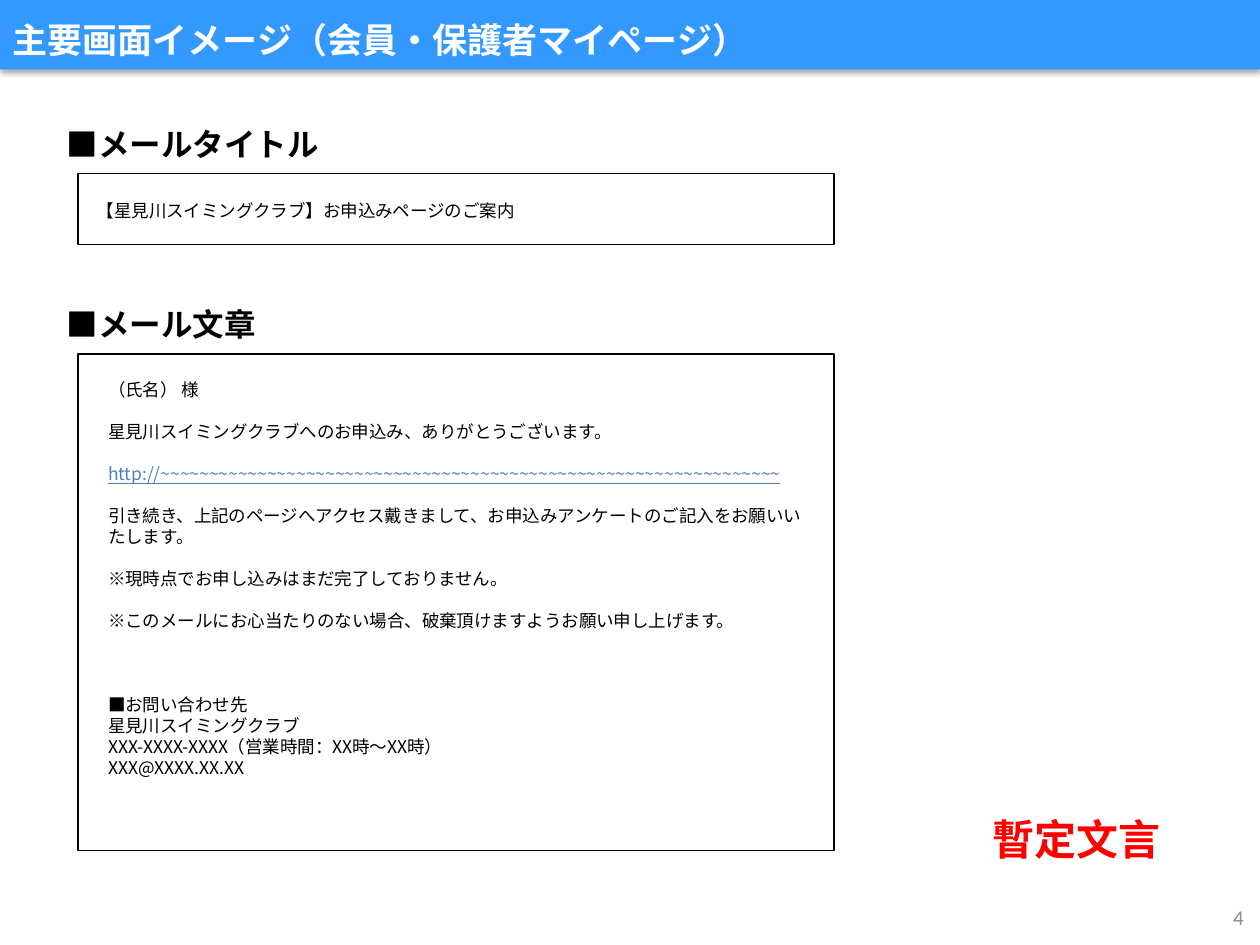
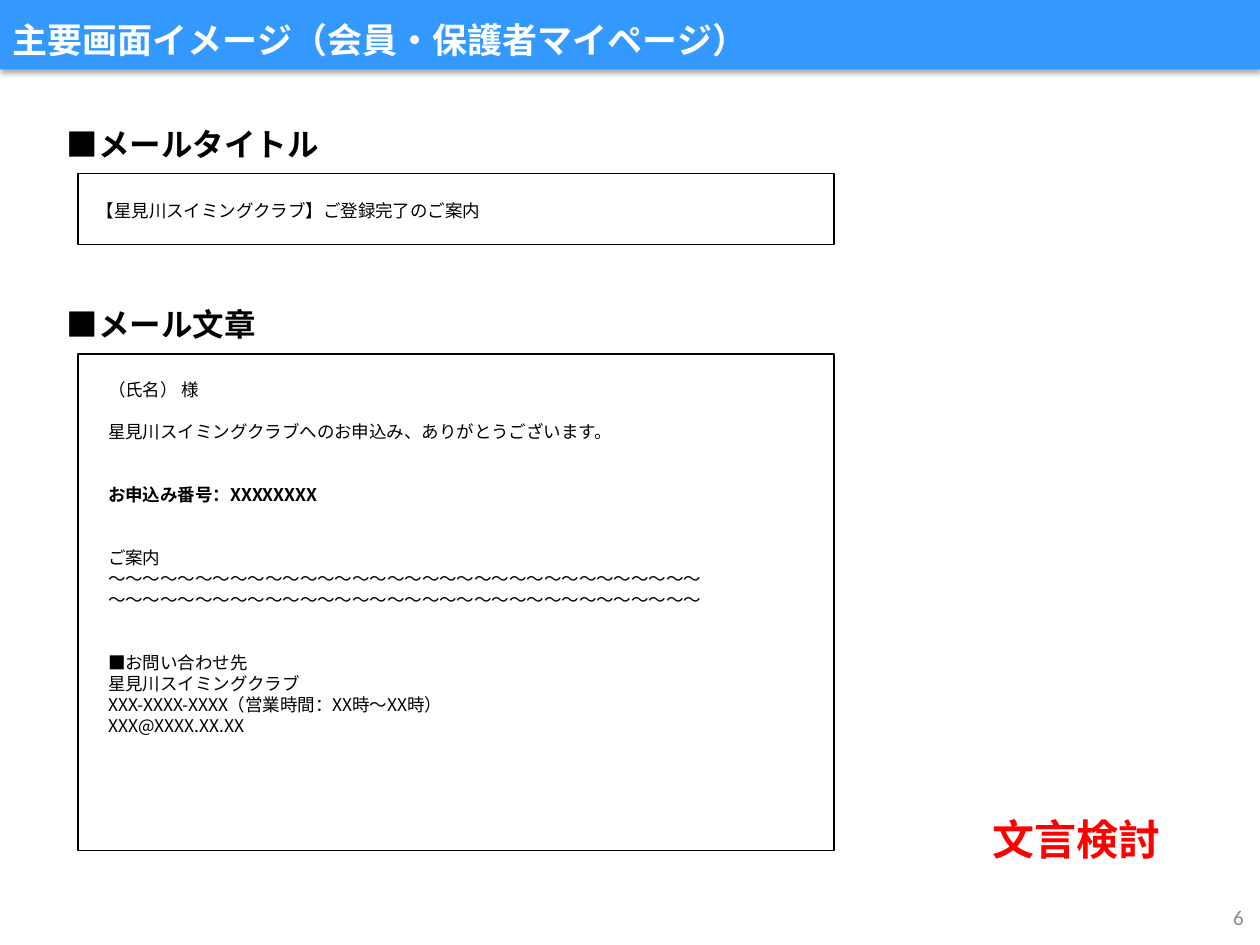
from lxml import etree
from pptx import Presentation
from pptx.dml.color import RGBColor
from pptx.enum.shapes import MSO_SHAPE as SHAPE
from pptx.enum.text import MSO_ANCHOR as ANCHOR, PP_ALIGN as ALIGN
from pptx.oxml.ns import qn
from pptx.util import Inches, Pt

# ---- Content ----
CLUB = "星見川スイミングクラブ"
PAGE_TITLE = "主要画面イメージ（会員・保護者マイページ）"
SUBJECT_HEAD, BODY_HEAD = "■メールタイトル", "■メール文章"

# Mail body lines: (lines skipped above, text, style)
GREETING = [
    (0, "（氏名） 様", {}),
    (1, CLUB + "へのお申込み、ありがとうございます。", {}),
]
CONTACT = [
    "■お問い合わせ先",
    CLUB,
    "XXX-XXXX-XXXX（営業時間：XX時～XX時）",
    "XXX@XXXX.XX.XX",
]
LINK = "http://~~~~~~~~~~~~~~~~~~~~~~~~~~~~~~~~~~~~~~~~~~~~~~~~~~~~~~~~~~~~~~~~"
WAVES = "～" * 34

MAILS = [
    {
        "page": "4",
        "subject": f"【{CLUB}】お申込みページのご案内",
        "message": [
            (1, LINK, {"color": "4F81BD", "underline": True}),
            (1, "引き続き、上記のページへアクセス戴きまして、"
                "お申込みアンケートのご記入をお願いいたします。", {}),
            (1, "※現時点でお申し込みはまだ完了しておりません。", {}),
            (1, "※このメールにお心当たりのない場合、"
                "破棄頂けますようお願い申し上げます。", {}),
        ],
        "contact_gap": 3,
        "status": "暫定文言",
    },
    {
        "page": "6",
        "subject": f"【{CLUB}】ご登録完了のご案内",
        "message": [
            (2, "お申込み番号：XXXXXXXX", {"bold": True}),
            (2, "ご案内", {}),
            (0, WAVES, {}),
            (0, WAVES, {}),
        ],
        "contact_gap": 2,
        "status": "文言検討",
    },
]

# ---- Shared style ----
WIDTH, HEIGHT = 10, 7.5
JP, LATIN = "Noto Sans CJK JP", "Calibri"
BLUE, WHITE, BLACK, RED, GREY = "3399FF", "FFFFFF", "000000", "FF0000", "8C8C8C"
LEADING = 1.2
HEAD_LEFT, FRAME_LEFT, FRAME_WIDTH = 0.43, 0.62, 6
TEXT_WIDTH = 5.72
SUBJECT_TOP, BODY_TOP = 0.94, 2.37
HEAD_STEP = 0.44  # from a heading's top to its frame's top


def rgb(value):
    return RGBColor.from_string(value)


def add_line(tf, text, size, color=BLACK, bold=False, underline=False,
             font=JP, align=ALIGN.LEFT, skip=0, first=True):
    p = tf.paragraphs[0] if first else tf.add_paragraph()
    p.alignment = align
    p.line_spacing = Pt(size * LEADING)
    p.space_before = Pt(size * LEADING * skip)
    r = p.add_run()
    r.text = text
    f = r.font
    f.name, f.size, f.bold, f.underline = font, Pt(size), bold, underline
    f.color.rgb = rgb(color)
    etree.SubElement(r._r.get_or_add_rPr(), qn("a:ea"), typeface=font)


def add_text(s, x, y, w, h, lines, size, wrap=True, anchor=ANCHOR.TOP, **style):
    tf = s.shapes.add_textbox(*map(Inches, (x, y, w, h))).text_frame
    tf.word_wrap = wrap
    tf.vertical_anchor = anchor
    for i, (skip, text, extra) in enumerate(lines):
        add_line(tf, text, size, skip=skip, first=i == 0, **style, **extra)


def add_label(s, x, y, w, h, text, size, **style):
    add_text(s, x, y, w, h, [(0, text, {})], size, **style)


def add_rect(s, x, y, w, h, fill, line=None):
    sp = s.shapes.add_shape(SHAPE.RECTANGLE, *map(Inches, (x, y, w, h)))
    sp.shadow.inherit = False
    sp.fill.solid()
    sp.fill.fore_color.rgb = rgb(fill)
    if line:
        sp.line.color.rgb = rgb(line)
        sp.line.width = Pt(0.75)
    else:
        sp.line.fill.background()
    return sp


def add_shadow(sp, blur, dist, alpha):
    effects = sp._element.spPr.find(qn("a:effectLst"))
    shadow = etree.SubElement(effects, qn("a:outerShdw"), blurRad=str(Pt(blur)),
                              dist=str(Pt(dist)), dir="5400000", rotWithShape="0")
    color = etree.SubElement(shadow, qn("a:srgbClr"), val=BLACK)
    etree.SubElement(color, qn("a:alpha"), val=str(alpha * 1000))


def add_band(s):
    sp = add_rect(s, 0, 0, WIDTH, 0.55, BLUE)
    add_shadow(sp, 3.1, 1.8, 35)
    tf = sp.text_frame
    tf.margin_top, tf.margin_bottom = Inches(0.08), 0
    tf.vertical_anchor = ANCHOR.MIDDLE
    add_line(tf, PAGE_TITLE, 20, WHITE, bold=True)


def add_section(s, top, heading, frame_height):
    add_label(s, HEAD_LEFT, top, 0.22 + 0.25 * len(heading), 0.4, heading, 18,
              wrap=False, bold=True)
    add_rect(s, FRAME_LEFT, top + HEAD_STEP, FRAME_WIDTH, frame_height, WHITE, BLACK)


def build_slide(prs, mail):
    s = prs.slides.add_slide(prs.slide_layouts[6])
    add_band(s)
    add_label(s, 8.79, 7.08, 1.18, 0.4, mail["page"], 12, anchor=ANCHOR.MIDDLE,
              color=GREY, font=LATIN, align=ALIGN.RIGHT)

    # Mail subject
    add_section(s, SUBJECT_TOP, SUBJECT_HEAD, 0.56)
    add_label(s, 0.67, 1.54, TEXT_WIDTH, 0.27, mail["subject"], 10)

    # Mail body
    add_section(s, BODY_TOP, BODY_HEAD, 3.94)
    contact = [(0 if i else mail["contact_gap"], text, {})
               for i, text in enumerate(CONTACT)]
    add_text(s, 0.76, 2.96, TEXT_WIDTH, 3.47,
             GREETING + mail["message"] + contact, 10)

    # Wording status
    add_label(s, 7.78, 6.41, 1.69, 0.5, mail["status"], 24, color=RED, bold=True)


def main():
    prs = Presentation()
    prs.slide_width, prs.slide_height = Inches(WIDTH), Inches(HEIGHT)
    for mail in MAILS:
        build_slide(prs, mail)
    prs.save("out.pptx")


if __name__ == "__main__":
    main()
